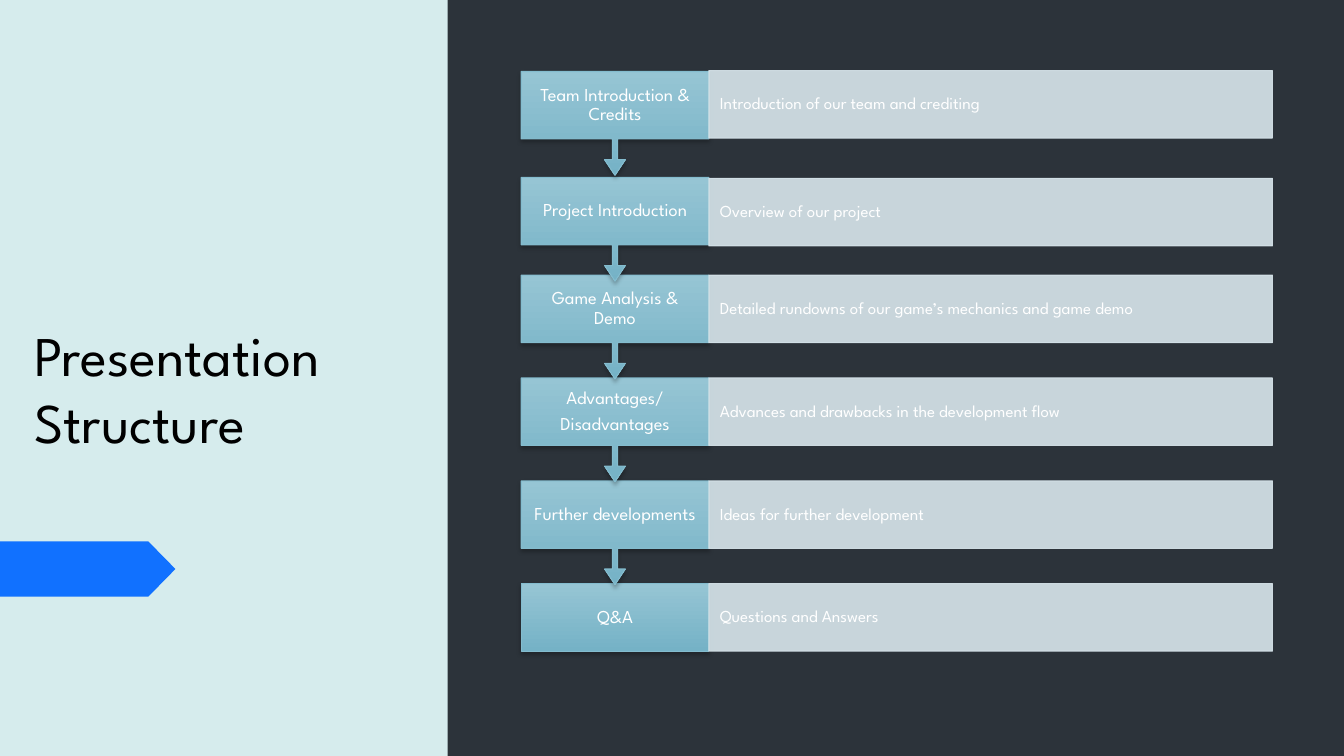
import pptx
import pptx.util
import pptx.dml.color
import pptx.enum.shapes
import pptx.enum.text
import pptx.oxml
import pptx.oxml.ns

COLORS = {
    "dark": "2C333A",
    "mint": "D6ECED",
    "accent": "1171FF",
    "step_top": "96C5D4",
    "step_bottom": "75B2C6",
    "step_line": "84BCCE",
    "detail": "D9E7ED",
    "white": "FFFFFF",
    "black": "000000",
}
FONT = "League Spartan"
TITLE = "Presentation\vStructure"
STEPS = [
    (0.71, 0.70, ["Team Introduction & Credits"], "Introduction of our team and crediting"),
    (1.76, 1.77, ["Project Introduction"], "Overview of our project"),
    (2.73, 2.73, ["Game Analysis & Demo"], "Detailed rundowns of our game’s mechanics and game demo"),
    (3.75, 3.75, ["Advantages/", "Disadvantages"], "Advances and drawbacks in the development flow"),
    (4.77, 4.77, ["Further developments"], "Ideas for further development"),
    (5.79, 5.79, ["Q&A"], "Questions and Answers"),
]
STEP_LEFT, STEP_WIDTH, DETAIL_WIDTH = 5.17, 1.86, 5.59
BOX_HEIGHT, CALLOUT_HEIGHT = 0.67, 1.03
CALLOUT_RATIOS = (0.05, 0.1, 0.15, 0.65)

Inches = pptx.util.Inches
Pt = pptx.util.Pt
SHAPES = pptx.enum.shapes.MSO_SHAPE
ALIGN = pptx.enum.text.PP_ALIGN
ANCHOR = pptx.enum.text.MSO_ANCHOR


def rgb(name):
    return pptx.dml.color.RGBColor.from_string(COLORS[name])


def write_text(shape, lines, size, color="white", align=ALIGN.LEFT,
               anchor=ANCHOR.MIDDLE, spacing=0.9, after=0, margins=(0.1, 0.05)):
    frame = shape.text_frame
    frame.word_wrap = True
    frame.auto_size = pptx.enum.text.MSO_AUTO_SIZE.NONE
    frame.vertical_anchor = anchor
    frame.margin_left = frame.margin_right = Inches(margins[0])
    frame.margin_top = frame.margin_bottom = Inches(margins[1])
    frame.text = "\n".join(lines)
    for para in frame.paragraphs:
        para.alignment = align
        para.line_spacing = spacing
        para.space_before = Pt(0)
        para.space_after = Pt(after)
        for span in para.runs:
            span.font.name = FONT
            span.font.size = Pt(size)
            span.font.color.rgb = rgb(color)


def add_box(page, kind, left, top, width, height, fill=None, line=None):
    box = page.shapes.add_shape(kind, Inches(left), Inches(top), Inches(width), Inches(height))
    box.shadow.inherit = False
    if fill:
        box.fill.solid()
        box.fill.fore_color.rgb = rgb(fill)
    if line:
        box.line.color.rgb = rgb(line)
        box.line.width = Pt(0.75)
    else:
        box.line.fill.background()
    return box


def make_translucent(box, percent):
    for color in box.element.spPr.iter(pptx.oxml.ns.qn("a:srgbClr")):
        alpha = pptx.oxml.parse_xml(
            f'<a:alpha {pptx.oxml.ns.nsdecls("a")} val="{percent * 1000}"/>')
        color.append(alpha)


def style_step(box):
    box.fill.gradient()
    box.fill.gradient_angle = 270
    for stop, position, name in zip(box.fill.gradient_stops, (0, 1), ("step_top", "step_bottom")):
        stop.position = position
        stop.color.rgb = rgb(name)
    effects = box.element.spPr.find(pptx.oxml.ns.qn("a:effectLst"))
    effects.append(pptx.oxml.parse_xml(
        f'<a:outerShdw {pptx.oxml.ns.nsdecls("a")} blurRad="{Pt(3)}" dist="{Pt(2)}" '
        f'dir="5400000" rotWithShape="0"><a:srgbClr val="{COLORS["black"]}">'
        '<a:alpha val="25000"/></a:srgbClr></a:outerShdw>'))


def add_step(page, top, detail_top, label, detail, is_last):
    kind = SHAPES.RECTANGLE if is_last else SHAPES.DOWN_ARROW_CALLOUT
    height = BOX_HEIGHT if is_last else CALLOUT_HEIGHT
    step = add_box(page, kind, STEP_LEFT, top, STEP_WIDTH, height, line="step_line")
    if not is_last:
        for index, ratio in enumerate(CALLOUT_RATIOS):
            step.adjustments[index] = ratio
    style_step(step)
    write_text(step, label, 13, align=ALIGN.CENTER, after=4.55, margins=(0.13, 0.1))

    bar = add_box(page, SHAPES.RECTANGLE, STEP_LEFT + STEP_WIDTH, detail_top,
                  DETAIL_WIDTH, BOX_HEIGHT, fill="detail", line="detail")
    make_translucent(bar, 90)
    write_text(bar, [detail], 12, after=4.2, margins=(0.11, 0.17))


def main():
    deck = pptx.Presentation()
    deck.slide_width = Inches(13.33)
    deck.slide_height = Inches(7.5)
    page = deck.slides.add_slide(deck.slide_layouts[5])
    page.background.fill.solid()
    page.background.fill.fore_color.rgb = rgb("dark")

    add_box(page, SHAPES.RECTANGLE, 5.24, 0, 8.09, 7.5, fill="dark")
    add_box(page, SHAPES.RECTANGLE, 0, 0, 4.44, 7.5, fill="mint")

    title = page.shapes.title
    title.left, title.top = Inches(0.24), Inches(3.13)
    title.width, title.height = Inches(3.79), Inches(4.2)
    write_text(title, [TITLE], 40, color="black", anchor=ANCHOR.TOP, spacing=1.0)
    page.shapes[-1].element.addnext(title.element)

    for index in reversed(range(len(STEPS))):
        add_step(page, *STEPS[index], is_last=index == len(STEPS) - 1)

    marker = add_box(page, SHAPES.PENTAGON, 0, 5.37, 1.74, 0.55, fill="accent")
    marker.adjustments[0] = 0.49
    deck.save("out.pptx")


if __name__ == "__main__":
    main()
